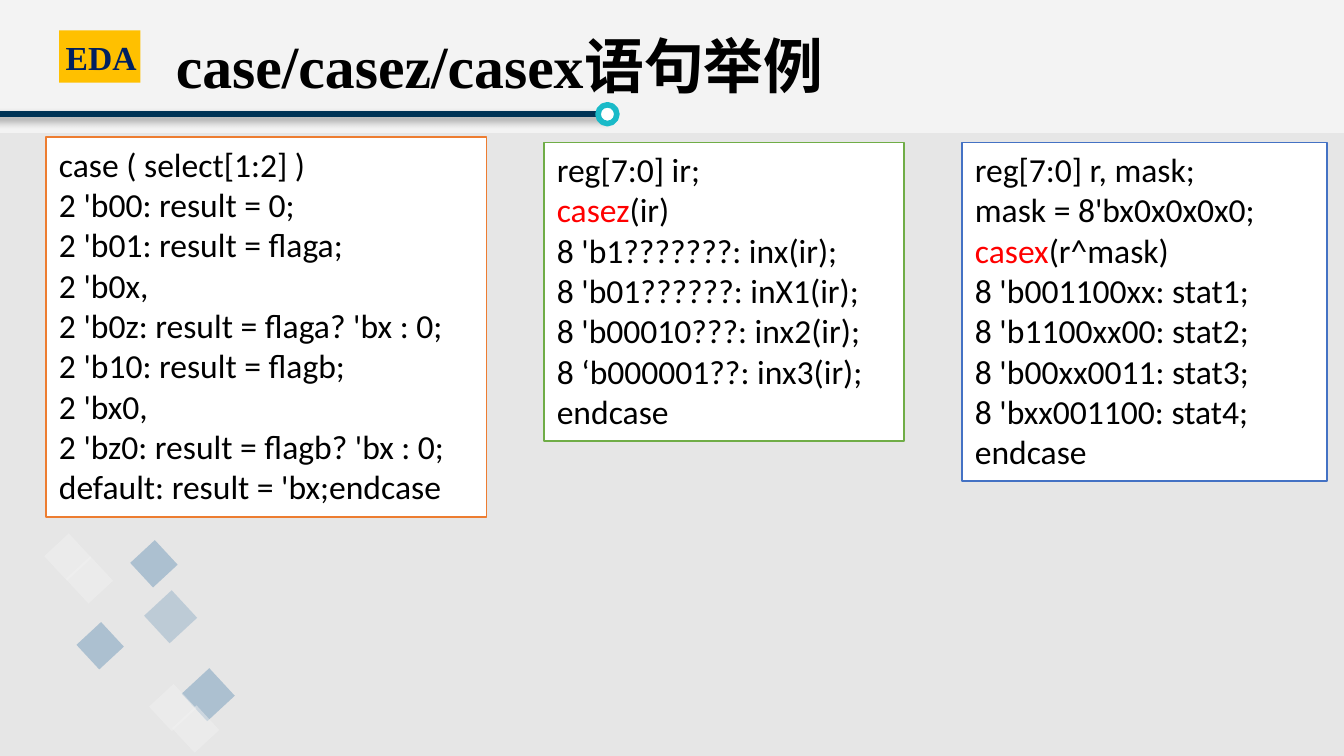
from dataclasses import dataclass

from lxml.etree import SubElement
from pptx import Presentation
from pptx.dml.color import RGBColor
from pptx.enum.shapes import MSO_CONNECTOR, MSO_SHAPE
from pptx.enum.text import MSO_ANCHOR, MSO_AUTO_SIZE, PP_ALIGN
from pptx.oxml.ns import qn
from pptx.util import Pt

SCALE = 4572


@dataclass(frozen=True)
class Theme:
    white: str = "FFFFFF"
    black: str = "000000"
    navy: str = "002060"
    rule: str = "003456"
    teal: str = "1ABAC8"
    gold: str = "FFC000"
    pale: str = "E6E6E6"
    grey: str = "D9D9D9"
    blue: str = "3773A4"
    light: str = "F2F2F2"
    red: str = "FF0000"
    edges: tuple = ("ED7D31", "70AD47", "4472C4")
    serif: str = "Times New Roman"
    sans: str = "Calibri"
    head: int = 32
    body: int = 18


LOOK = Theme()
KEYS = ("casez", "casex")
TILES = [
    (124, 936, 50, LOOK.blue, 33),
    (76, 804, 50, LOOK.light, 46),
    (282, 1006, 56, LOOK.blue, 33),
    (226, 890, 56, LOOK.blue, 23),
    (204, 814, 50, LOOK.blue, 33),
    (232, 1028, 50, LOOK.light, 46),
    (108, 838, 50, LOOK.light, 46),
    (266, 1060, 50, LOOK.light, 46),
]
PANELS = [
    ((68, 204, 656, 566), """case ( select[1:2] )
2 'b00: result = 0;
2 'b01: result = flaga;
2 'b0x,
2 'b0z: result = flaga? 'bx : 0;
2 'b10: result = flagb;
2 'bx0,
2 'bz0: result = flagb? 'bx : 0;
default: result = 'bx;endcase"""),
    ((809, 212, 537, 444), """reg[7:0] ir;
casez(ir)
8 'b1???????: inx(ir);
8 'b01??????: inX1(ir);
8 'b00010???: inx2(ir);
8 ‘b000001??: inx3(ir);
endcase"""),
    ((1431, 212, 544, 504), """reg[7:0] r, mask;
mask = 8'bx0x0x0x0;
casex(r^mask)
8 'b001100xx: stat1;
8 'b1100xx00: stat2;
8 'b00xx0011: stat3;
8 'bxx001100: stat4;
endcase"""),
]


def emu(*sides):
    return [side * SCALE for side in sides]


def tint(color):
    return RGBColor.from_string(color)


class Deck:
    """Draws styled elements on the current slide."""

    def __init__(self, theme, width, height):
        self.theme = theme
        self.file = Presentation()
        self.file.slide_width, self.file.slide_height = emu(width, height)
        self.slide = self.file.slides.add_slide(self.file.slide_layouts[6])
        self.shapes = self.slide.shapes

    def shape(self, box, fill, alpha=100, edge=None, weight=1, kind=MSO_SHAPE.RECTANGLE):
        item = self.shapes.add_shape(kind, *emu(*box))
        item.shadow.inherit = False
        item.fill.solid()
        item.fill.fore_color.rgb = tint(fill)
        if alpha < 100:
            color = item.fill._xPr.find(qn("a:solidFill"))[0]
            SubElement(color, qn("a:alpha"), val=str(alpha * 1000))
        if edge:
            item.line.color.rgb = tint(edge)
            item.line.width = Pt(weight)
        else:
            item.line.fill.background()
        return item

    def tile(self, left, top, side, fill, alpha):
        self.shape((left, top, side, side), fill, alpha).rotation = 47.2

    def rule(self, start, end, color, weight):
        line = self.shapes.add_connector(MSO_CONNECTOR.STRAIGHT, *emu(*start, *end))
        line.line.color.rgb = tint(color)
        line.line.width = Pt(weight)
        effects = SubElement(line._element.spPr, qn("a:effectLst"))
        shade = SubElement(effects, qn("a:outerShdw"), blurRad=str(Pt(4)),
                           dist=str(Pt(3)), dir="2700000", algn="tl", rotWithShape="0")
        color = SubElement(shade, qn("a:srgbClr"), val=self.theme.black)
        SubElement(color, qn("a:alpha"), val="40000")

    def font(self, run, face, size, color, bold=False):
        run.font.name = face
        run.font.size = Pt(size)
        run.font.color.rgb = tint(color)
        run.font.bold = bold

    def label(self, box, text, size, color):
        frame = self.shapes.add_textbox(*emu(*box)).text_frame
        frame.word_wrap = True
        frame.vertical_anchor = MSO_ANCHOR.MIDDLE
        frame.text = text
        line = frame.paragraphs[0]
        line.line_spacing = 0.9
        self.font(line.runs[0], self.theme.serif, size, color, True)

    def panel(self, box, text, edge):
        frame = self.shape(box, self.theme.white, edge=edge).text_frame
        frame.word_wrap = True
        frame.auto_size = MSO_AUTO_SIZE.SHAPE_TO_FIT_TEXT
        frame.vertical_anchor = MSO_ANCHOR.TOP
        frame.text = text
        for line in frame.paragraphs:
            line.alignment = PP_ALIGN.LEFT
            whole = line.text
            if whole.startswith(KEYS):
                line.text = whole[:5]
                line.add_run().text = whole[5:]
            for run in line.runs:
                color = self.theme.red if run.text in KEYS else self.theme.black
                self.font(run, self.theme.sans, self.theme.body, color)


def main():
    deck = Deck(LOOK, 2000, 1125)
    deck.shape((0, 0, 2000, 1125), LOOK.pale, 47)
    deck.shape((0, 198, 2000, 927), LOOK.grey, 47)
    deck.rule((-46, 170), (898, 170), LOOK.rule, 3)
    for tile in TILES:
        deck.tile(*tile)
    deck.shape((890, 156, 28, 28), LOOK.white, edge=LOOK.teal, weight=3, kind=MSO_SHAPE.OVAL)
    deck.shape((88, 45, 121, 78), LOOK.gold)
    deck.label((78, 42, 176, 94), "EDA", LOOK.body, LOOK.navy)
    deck.label((242, -6, 1724, 218), "case/casez/casex语句举例", LOOK.head, LOOK.black)
    for (box, text), edge in zip(PANELS, LOOK.edges):
        deck.panel(box, text, edge)
    deck.file.save("out.pptx")


if __name__ == "__main__":
    main()
